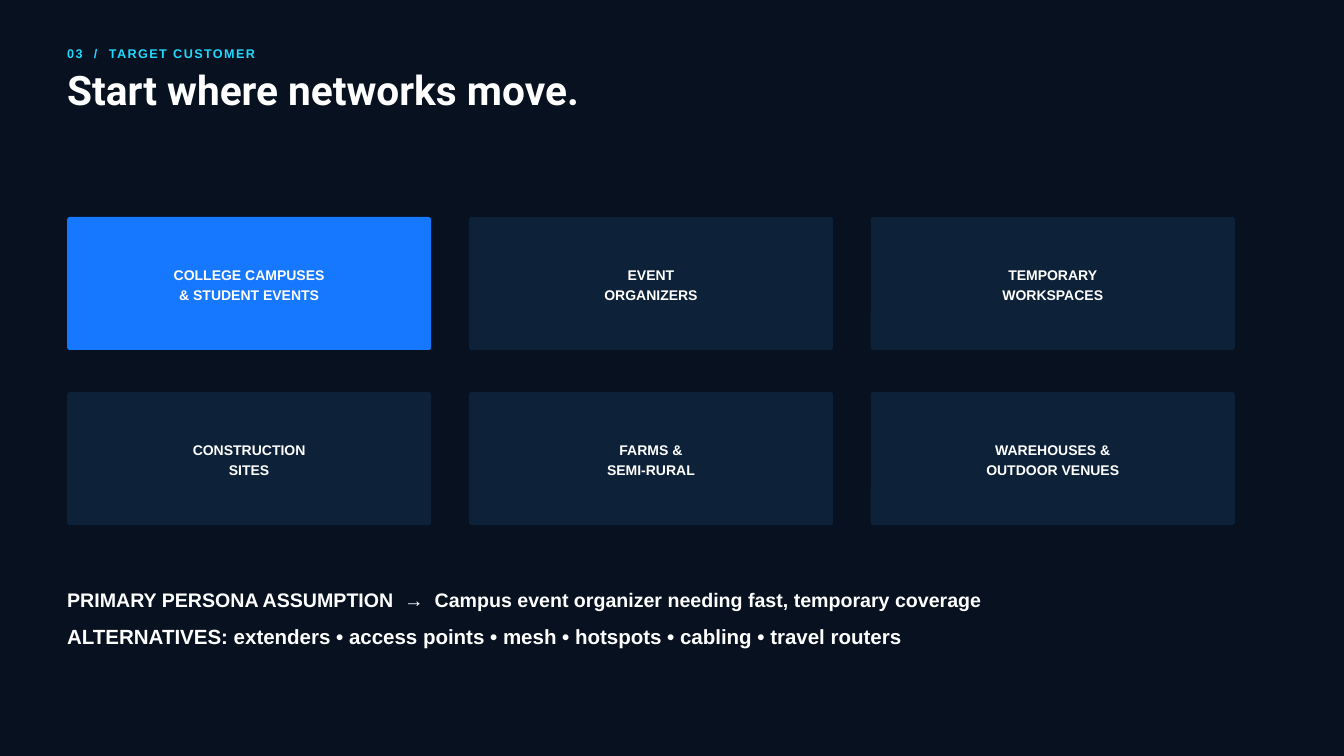
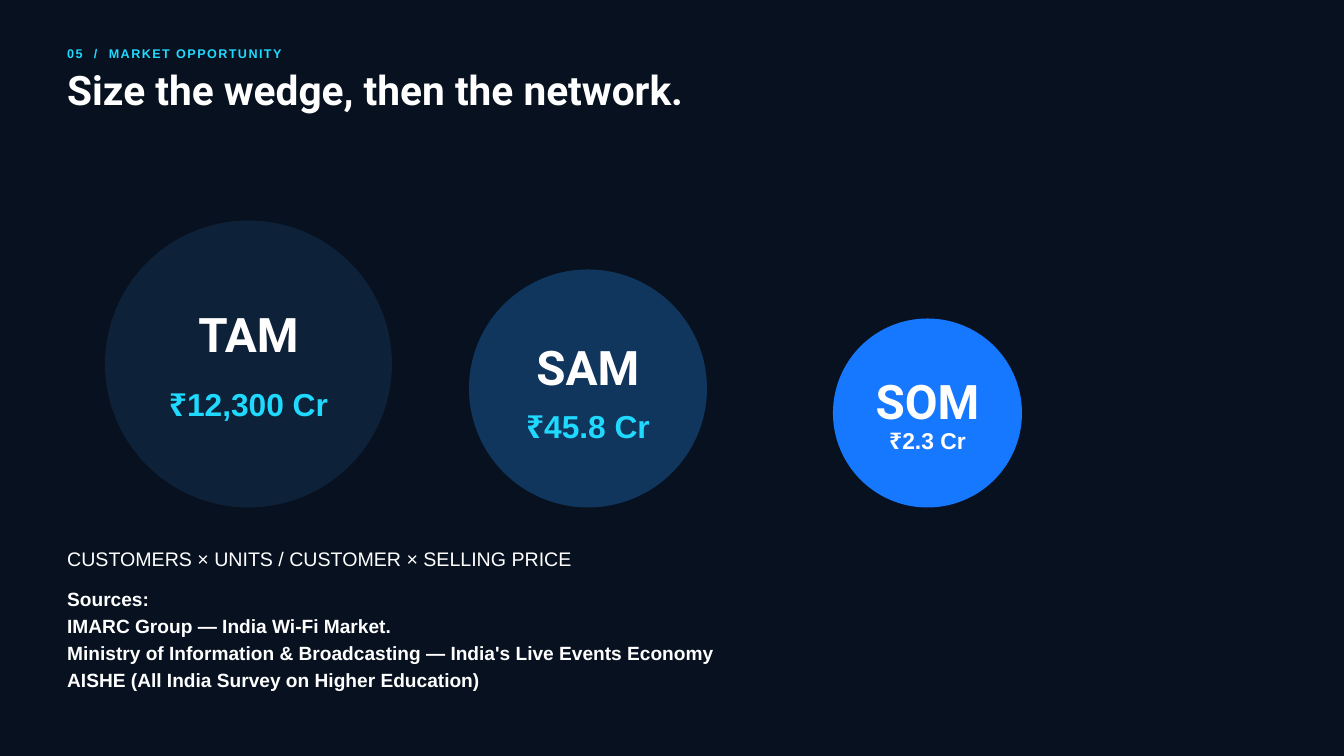
"""Build the target customer and market opportunity slides."""
from pptx import Presentation
from pptx.dml.color import RGBColor
from pptx.enum.shapes import MSO_SHAPE
from pptx.enum.text import MSO_ANCHOR, MSO_AUTO_SIZE, PP_ALIGN
from pptx.util import Pt

NIGHT = RGBColor(0x07, 0x11, 0x1F)
NAVY = RGBColor(0x0D, 0x21, 0x38)
STEEL = RGBColor(0x10, 0x36, 0x5D)
BLUE = RGBColor(0x16, 0x77, 0xFF)
CYAN = RGBColor(0x20, 0xD9, 0xFF)
WHITE = RGBColor(0xFF, 0xFF, 0xFF)
BODY_FONT, TITLE_FONT = "Arial", "Roboto"
MARGIN = 72

SEGMENTS = [
    ("COLLEGE CAMPUSES", "& STUDENT EVENTS"),
    ("EVENT", "ORGANIZERS"),
    ("TEMPORARY", "WORKSPACES"),
    ("CONSTRUCTION", "SITES"),
    ("FARMS &", "SEMI-RURAL"),
    ("WAREHOUSES &", "OUTDOOR VENUES"),
]
MARKETS = [
    ("TAM", "₹12,300 Cr", 112.5, 307.5, NAVY, CYAN, 34),
    ("SAM", "₹45.8 Cr", 502.5, 255, STEEL, CYAN, 34),
    ("SOM", "₹2.3 Cr", 892.5, 202.5, BLUE, WHITE, 24.5),
]
SOURCES = [
    "Sources:",
    "IMARC Group — India Wi-Fi Market.",
    "Ministry of Information & Broadcasting — India's Live Events Economy",
    "AISHE (All India Survey on Higher Education)",
]


def write(tf, lines, size, leading, color=WHITE, font=BODY_FONT, bold=True,
          align=PP_ALIGN.LEFT, inset=0):
    """Fill a text frame with one paragraph per line."""
    tf.word_wrap = True
    tf.margin_left = tf.margin_right = Pt(inset)
    tf.margin_top = tf.margin_bottom = Pt(inset)
    for i, line in enumerate(lines):
        p = tf.add_paragraph() if i else tf.paragraphs[0]
        p.text = line
        p.alignment = align
        p.line_spacing = Pt(leading)
        p.font.name, p.font.size, p.font.bold = font, Pt(size), bold
        p.font.color.rgb = color


def add_text(s, box, lines, size, leading, **style):
    """Add a text box that grows with its text."""
    tf = s.shapes.add_textbox(*map(Pt, box)).text_frame
    write(tf, lines, size, leading, **style)
    tf.auto_size = MSO_AUTO_SIZE.SHAPE_TO_FIT_TEXT
    return tf


def add_panel(s, kind, box, fill):
    """Add a plain filled shape."""
    sp = s.shapes.add_shape(kind, *map(Pt, box))
    sp.shadow.inherit = False
    sp.fill.solid()
    sp.fill.fore_color.rgb = fill
    sp.line.fill.background()
    return sp


def add_slide(prs, kicker, title):
    """Add a dark slide with its kicker and title."""
    s = prs.slides.add_slide(prs.slide_layouts[6])
    s.background.fill.solid()
    s.background.fill.fore_color.rgb = NIGHT
    tf = add_text(s, (MARGIN, 46.5, 450, 17.5), [kicker], 13.5, 18.9, color=CYAN)
    tf.paragraphs[0].runs[0].font._element.set("spc", "160")
    add_text(s, (MARGIN, 75, 1125, 54.5), [title], 43.5, 47, font=TITLE_FONT)
    return s


def add_card(s, box, lines, fill):
    """Add a customer segment card with centred text."""
    sp = add_panel(s, MSO_SHAPE.ROUNDED_RECTANGLE, box, fill)
    sp.adjustments[0] = 0.02
    write(sp.text_frame, lines, 15, 21, align=PP_ALIGN.CENTER, inset=4.5)
    sp.text_frame.vertical_anchor = MSO_ANCHOR.MIDDLE


def add_card_grid(s, left, top, columns=3):
    """Lay out the segment cards, the first one highlighted."""
    width, height, gap_x, gap_y = 390, 142.5, 40.5, 45
    for i, lines in enumerate(SEGMENTS):
        row, col = divmod(i, columns)
        box = (left + col * (width + gap_x), top + row * (height + gap_y), width, height)
        add_card(s, box, lines, NAVY if i else BLUE)


def add_market(s, left, bottom, diameter, name, value, fill, color, size):
    """Add a market circle with its name and value."""
    top = bottom - diameter
    add_panel(s, MSO_SHAPE.OVAL, (left, top, diameter, diameter), fill)
    add_text(s, (left, top + 0.314 * diameter - 16.8, diameter, 77), [name], 51, 71.4,
             font=TITLE_FONT, align=PP_ALIGN.CENTER)
    leading = 1.4 * size
    add_text(s, (left + 15, top + 0.555 * diameter - 1, diameter - 30, leading), [value],
             size, leading, color=color, align=PP_ALIGN.CENTER)


def build_customer(prs):
    """Build the target customer slide."""
    s = add_slide(prs, "03  /  TARGET CUSTOMER", "Start where networks move.")
    add_card_grid(s, MARGIN, 232.5)
    add_text(s, (MARGIN, 626.5, 1125, 27), [
        "PRIMARY PERSONA ASSUMPTION  →  Campus event organizer needing fast, temporary coverage"
    ], 21, 28.4)
    add_text(s, (MARGIN, 664.5, 1125, 29.5), [
        "ALTERNATIVES: extenders • access points • mesh • hotspots • cabling • travel routers"
    ], 22, 30.8)


def build_market(prs):
    """Build the market opportunity slide."""
    s = add_slide(prs, "05  /  MARKET OPPORTUNITY", "Size the wedge, then the network.")
    for name, value, left, diameter, fill, color, size in MARKETS:
        add_market(s, left, 543.75, diameter, name, value, fill, color, size)
    add_text(s, (MARGIN, 582.5, 900, 27), ["CUSTOMERS × UNITS / CUSTOMER × SELLING PRICE"],
             21, 28.4, bold=False)
    add_text(s, (MARGIN, 625.5, 1260, 141), SOURCES, 20.5, 28.7)


def main():
    """Build and save the deck."""
    prs = Presentation()
    prs.slide_width, prs.slide_height = Pt(1440), Pt(810)
    build_customer(prs)
    build_market(prs)
    prs.save("out.pptx")


if __name__ == "__main__":
    main()
